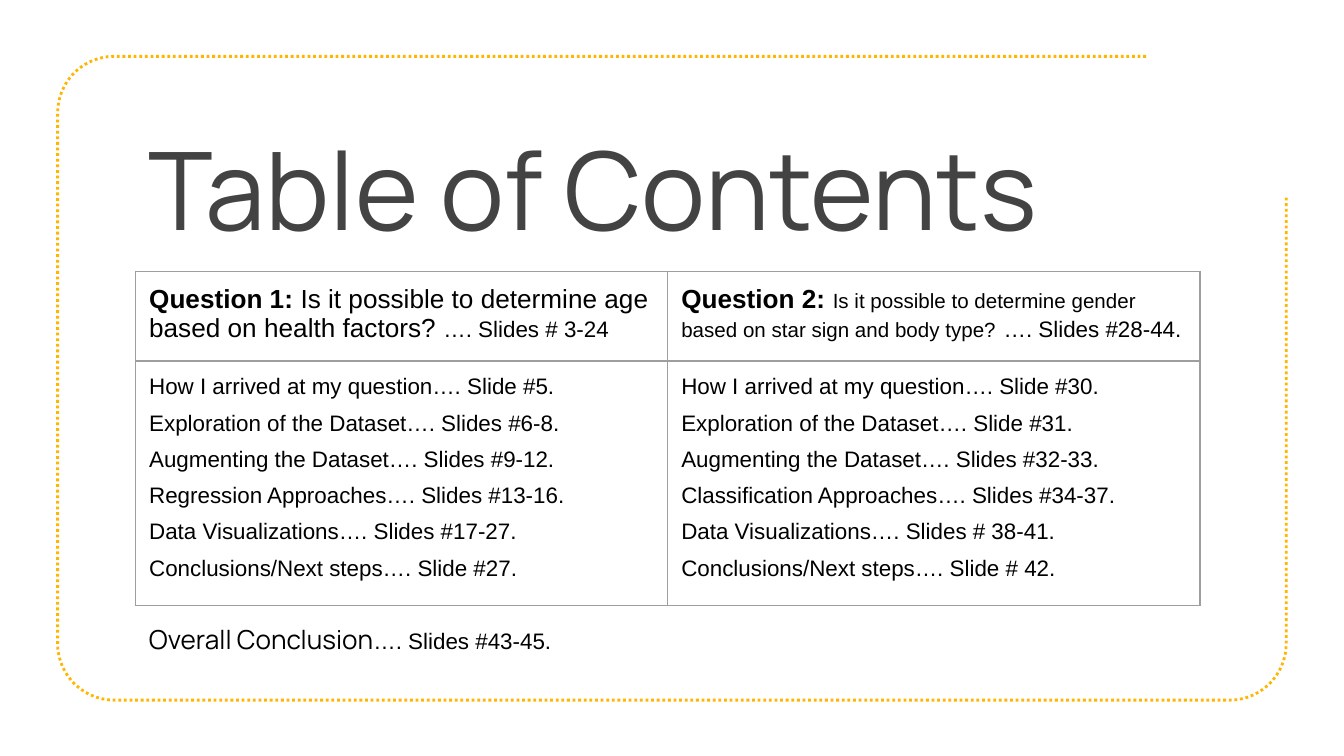
from math import cos, radians, sin

from lxml import etree
from pptx import Presentation
from pptx import util as u
from pptx.dml.color import RGBColor
from pptx.enum import dml, text
from pptx.oxml import ns


def color(value):
    return RGBColor.from_string(value)


def add_span(para, words, size=12, bold=False, font="Arial", fill="000000"):
    span = para.add_run()
    span.text = words
    span.font.size = u.Pt(size)
    span.font.bold = bold
    span.font.name = font
    span.font.color.rgb = color(fill)


deck = Presentation()
deck.slide_width, deck.slide_height = u.Pt(720), u.Pt(405)
page = deck.slides.add_slide(deck.slide_layouts[6])

radius = 30.3
corners = [(61.2, 60.5, 270), (61.2, 344.8, 180), (658.8, 344.8, 90)]
outline = [
    (u.Pt(x + radius * cos(radians(start - turn))), u.Pt(y + radius * sin(radians(start - turn))))
    for x, y, start in corners
    for turn in range(0, 91, 6)
]
outline.append((u.Pt(689.1), u.Pt(105.2)))
builder = page.shapes.build_freeform(u.Pt(614), u.Pt(30.2))
builder.add_line_segments(outline, close=False)
frame = builder.convert_to_shape()
frame.shadow.inherit = False
frame.fill.background()
frame.line.color.rgb = color("FFB600")
frame.line.width = u.Pt(1.5)
frame.line.dash_style = dml.MSO_LINE.ROUND_DOT

gold_texts = [
    (58.3, 540.7, 67.7, [("Table of Contents", dict(size=58, font="Manrope", fill="434343"))]),
    (326.9, 570.2, 31, [("Overall Conclusion", dict(size=14, font="Manrope")), ("…. Slides #43-45.", {})]),
]
for top, width, height, spans in gold_texts:
    box = page.shapes.add_textbox(u.Pt(72.7), u.Pt(top), u.Pt(width), u.Pt(height))
    body = box.text_frame
    body.word_wrap = True
    body.vertical_anchor = text.MSO_ANCHOR.TOP
    body.margin_left = body.margin_right = body.margin_top = body.margin_bottom = u.Pt(7.2)
    for words, style in spans:
        add_span(body.paragraphs[0], words, **style)

questions = [
    [
        ("Question 1:", dict(size=14, bold=True)),
        (" Is it possible to determine age based on health factors? ", dict(size=14)),
        ("…. Slides # 3-24", {}),
    ],
    [
        ("Question 2: ", dict(size=14, bold=True)),
        ("Is it possible to determine gender based on star sign and body type?", dict(size=11)),
        (" ", dict(size=14)),
        ("…. Slides #28-44.", {}),
    ],
]
topics = [
    [
        "How I arrived at my question…. Slide #5.",
        "Exploration of the Dataset…. Slides #6-8.",
        "Augmenting the Dataset…. Slides #9-12.",
        "Regression Approaches…. Slides #13-16.",
        "Data Visualizations…. Slides #17-27.",
        "Conclusions/Next steps…. Slide #27.",
    ],
    [
        "How I arrived at my question…. Slide #30.",
        "Exploration of the Dataset…. Slide #31.",
        "Augmenting the Dataset…. Slides #32-33.",
        "Classification Approaches…. Slides #34-37.",
        "Data Visualizations…. Slides # 38-41.",
        "Conclusions/Next steps…. Slide # 42.",
    ],
]

table = page.shapes.add_table(2, 2, u.Pt(72.7), u.Pt(145.3), u.Pt(570.2), u.Pt(170.8)).table
table.first_row = table.horz_banding = False
for row, height in zip(table.rows, (46, 124.8)):
    row.height = u.Pt(height)

for column in range(2):
    for words, style in questions[column]:
        add_span(table.cell(0, column).text_frame.paragraphs[0], words, **style)
    body = table.cell(1, column).text_frame
    for index, topic in enumerate(topics[column]):
        para = body.add_paragraph() if index else body.paragraphs[0]
        para.space_before = u.Pt(6)
        add_span(para, topic)

for cell in table.iter_cells():
    cell.margin_left = cell.margin_right = cell.margin_top = cell.margin_bottom = u.Pt(7.2)
    properties = cell._tc.get_or_add_tcPr()
    for side in ("a:lnL", "a:lnR", "a:lnT", "a:lnB"):
        border = etree.SubElement(properties, ns.qn(side), w=str(u.Pt(0.75)))
        paint = etree.SubElement(border, ns.qn("a:solidFill"))
        etree.SubElement(paint, ns.qn("a:srgbClr"), val="9E9E9E")
    cell.fill.background()

deck.save("out.pptx")
